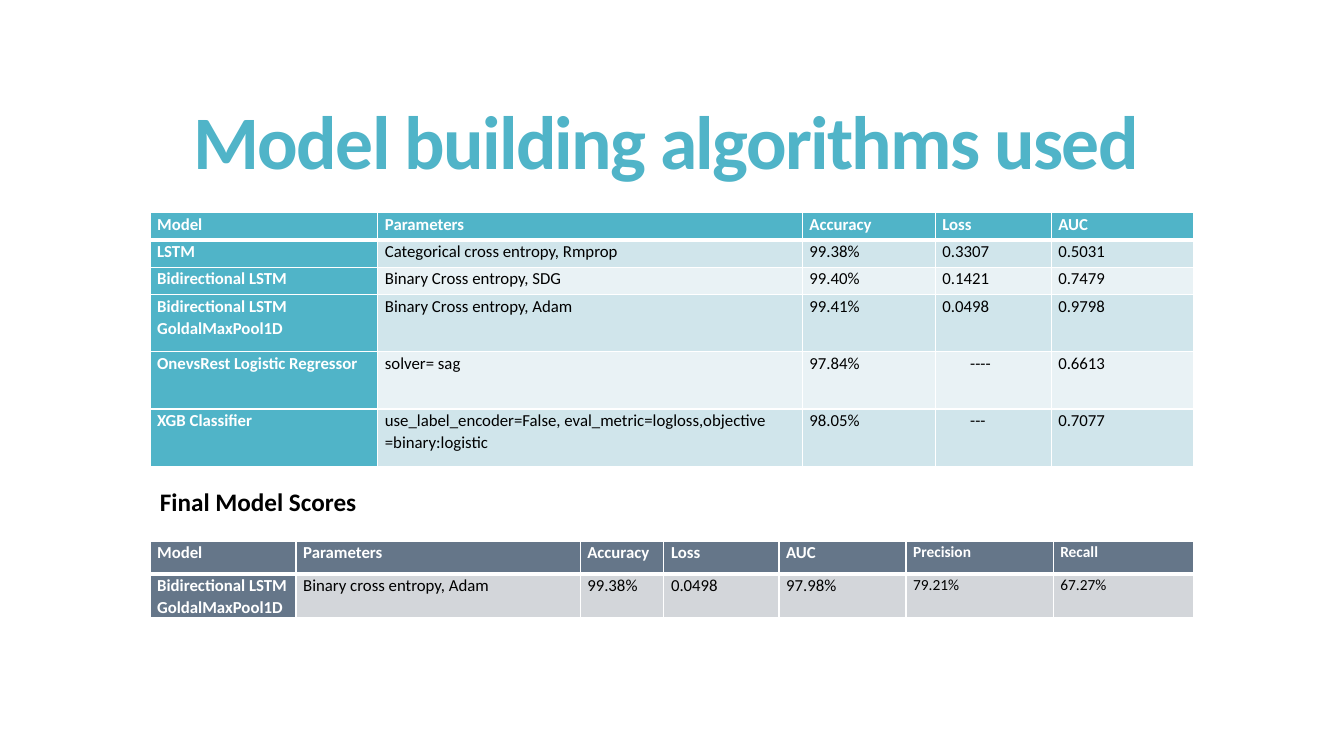
from lxml.etree import SubElement
from pptx import Presentation
from pptx.dml.color import RGBColor
from pptx.enum.text import MSO_ANCHOR, MSO_AUTO_SIZE, PP_ALIGN
from pptx.oxml.ns import qn
from pptx.util import Cm, Pt

TEAL = RGBColor(0x50, 0xB4, 0xC8)
TEAL_MID = RGBColor(0xD0, 0xE5, 0xEB)
TEAL_PALE = RGBColor(0xE9, 0xF2, 0xF5)
SLATE = RGBColor(0x65, 0x76, 0x89)
SLATE_PALE = RGBColor(0xD3, 0xD6, 0xDA)
WHITE = RGBColor(0xFF, 0xFF, 0xFF)
BLACK = RGBColor(0x00, 0x00, 0x00)

TABLE_LEFT = 3.78
DASH_INDENT = 0.88

MODELS = [
    ["Model", "Parameters", "Accuracy", "Loss", "AUC"],
    ["LSTM", "Categorical cross entropy, Rmprop", "99.38%", "0.3307", "0.5031"],
    ["Bidirectional LSTM", "Binary Cross entropy, SDG", "99.40%", "0.1421", "0.7479"],
    ["Bidirectional LSTM GoldalMaxPool1D", "Binary Cross entropy, Adam",
     "99.41%", "0.0498", "0.9798"],
    ["OnevsRest Logistic Regressor", "solver= sag", "97.84%", "----", "0.6613"],
    ["XGB Classifier",
     "use_label_encoder=False, eval_metric=logloss,objective =binary:logistic",
     "98.05%", "---", "0.7077"],
]
FINAL_SCORES = [
    ["Model", "Parameters", "Accuracy", "Loss", "AUC", "Precision", "Recall"],
    ["Bidirectional LSTM GoldalMaxPool1D", "Binary cross entropy, Adam",
     "99.38%", "0.0498", "97.98%", "79.21%", "67.27%"],
]


def apply(target, values):
    for name, value in values.items():
        setattr(target, name, value)


class SlideBuilder:
    def __init__(self, page, font_name):
        self.page = page
        self.font_name = font_name

    def add_span(self, para, text, size, color, bold):
        span = para.add_run()
        span.text = text
        apply(span.font, {"name": self.font_name, "size": Pt(size), "bold": bold})
        span.font.color.rgb = color
        return span

    def add_text(self, place, text, size, color, frame_format, para_format, spacing=0):
        box = self.page.shapes.add_textbox(*map(Cm, place))
        apply(box.text_frame, {"word_wrap": True, **frame_format})
        para = box.text_frame.paragraphs[0]
        apply(para, para_format)
        span = self.add_span(para, text, size, color, True)
        span._r.get_or_add_rPr().set("spc", str(spacing))

    def add_border(self, cell, side, width):
        line = SubElement(cell._tc.get_or_add_tcPr(), qn(f"a:ln{side}"), w=str(Pt(width)))
        fill = SubElement(line, qn("a:solidFill"))
        SubElement(fill, qn("a:srgbClr"), val=str(WHITE))

    def fill_cell(self, cell, text, size, fill, is_heading, borders):
        is_dash = text.strip("-") == ""
        apply(cell, {"margin_left": Cm(DASH_INDENT if is_dash else 0.18),
                     "margin_right": Cm(0.18), "margin_top": 0, "margin_bottom": 0})
        for side, width in borders.items():
            self.add_border(cell, side, width)
        cell.fill.solid()
        cell.fill.fore_color.rgb = fill
        para = cell.text_frame.paragraphs[0]
        apply(para, {"line_spacing": 1.07, "space_after": Pt(8)})
        self.add_span(para, text, size, WHITE if is_heading else BLACK, is_heading)

    def add_table(self, top, widths, heights, rows, heading_fill, bands, small_from):
        """Columns from index small_from on use the smaller text size."""
        frame = self.page.shapes.add_table(
            len(rows), len(widths), Cm(TABLE_LEFT), Cm(top),
            Cm(sum(widths)), Cm(sum(heights)))
        table = frame.table
        apply(table, {"first_row": False, "horz_banding": False})
        for column, width in zip(table.columns, widths):
            column.width = Cm(width)
        for row, height in zip(table.rows, heights):
            row.height = Cm(height)
        for r, values in enumerate(rows):
            # The rule under the header row is thicker than the rest
            borders = {"L": 1, "R": 1, "T": 3 if r == 1 else 1, "B": 3 if r == 0 else 1}
            for c, value in enumerate(values):
                is_heading = r == 0 or c == 0
                fill = heading_fill if is_heading else bands[(r - 1) % len(bands)]
                size = 11 if c >= small_from else 12
                self.fill_cell(table.cell(r, c), value, size, fill, is_heading, borders)


def main():
    deck = Presentation()
    apply(deck, {"slide_width": Cm(33.87), "slide_height": Cm(19.05)})
    page = deck.slides.add_slide(deck.slide_layouts[6])
    builder = SlideBuilder(page, "Calibri")

    # Title
    builder.add_text((1.83, 1.4, 29.92, 4.6), "Model building algorithms used", 54, TEAL,
                     {"vertical_anchor": MSO_ANCHOR.MIDDLE},
                     {"alignment": PP_ALIGN.CENTER, "line_spacing": 0.85}, spacing=-120)

    # Compared models
    builder.add_table(5.36, [5.74, 10.7, 3.35, 2.92, 3.58], [0.69] * 3 + [1.44] * 3,
                      MODELS, TEAL, [TEAL_MID, TEAL_PALE], small_from=5)

    # Final scores
    builder.add_text((TABLE_LEFT, 12.12, 12.52, 1.02), "Final Model Scores", 18, BLACK,
                     {"auto_size": MSO_AUTO_SIZE.SHAPE_TO_FIT_TEXT}, {})
    builder.add_table(13.64, [3.68, 7.16, 2.11, 2.9, 3.2, 3.71, 3.53], [0.83] * 2,
                      FINAL_SCORES, SLATE, [SLATE_PALE], small_from=5)

    deck.save("out.pptx")


if __name__ == "__main__":
    main()
